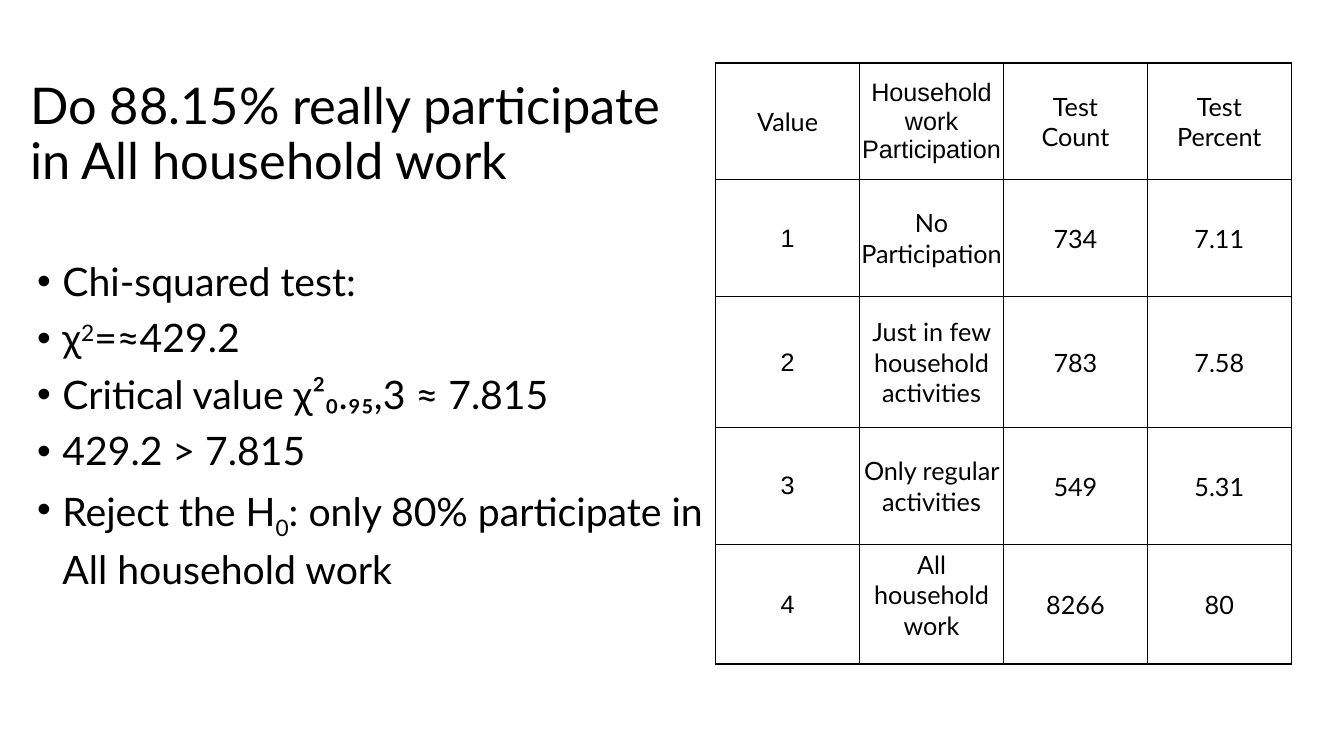
"""Build the chi-squared test slide on household work participation."""
from lxml import etree
from pptx import Presentation
from pptx.dml.color import RGBColor
from pptx.enum import text as t
from pptx.oxml import ns
from pptx.util import Pt

TITLE = "Do 88.15% really participate in All household work"
FINDINGS = [
    [("Chi-squared test:", 0)],
    [("χ", 0), ("2", 30), ("=≈429.2", 0)],
    [("Critical value χ²₀.₉₅,3 ≈ 7.815", 0)],
    [("429.2 > 7.815", 0)],
    [("Reject the H", 0), ("0", -25), (": only 80% participate in", 0)],
]
CONCLUSION = [("All household work", 0)]
RESULTS = [
    ("Value", "Household work Participation", "Test\nCount", "Test\nPercent"),
    ("1", "No Participation", "734", "7.11"),
    ("2", "Just in few household activities", "783", "7.58"),
    ("3", "Only regular activities", "549", "5.31"),
    ("4", "All household work", "8266", "80"),
]
ARIAL_CELLS = {(0, 1), (1, 0), (2, 0), (3, 0), (4, 0)}
ROW_HEIGHTS = [83.5, 83.5, 93.6, 83.5, 85.2]
COLUMN_WIDTH = 102.8
TITLE_BOX = (14.4, 44.6, 496, 104.4)
BODY_BOX = (19.4, 184, 874, 302)
TABLE_BOX = (511.2, 45, COLUMN_WIDTH * 4, sum(ROW_HEIGHTS))
BLACK = "000000"
INDENT = 18


def color(value):
    return RGBColor.from_string(value)


def assign(target, values):
    for key, value in values.items():
        setattr(target, key, value)


def place(holder, box, anchor):
    assign(holder, dict(zip(("left", "top", "width", "height"), map(Pt, box))))
    assign(holder.text_frame, {
        "word_wrap": True, "auto_size": t.MSO_AUTO_SIZE.NONE, "vertical_anchor": anchor,
        "margin_left": Pt(7.2), "margin_right": Pt(7.2),
        "margin_top": Pt(3.6), "margin_bottom": Pt(3.6)})


def write(paragraph, words, size, name="Lato", baseline=0):
    run = paragraph.add_run()
    run.text = words
    assign(run.font, {"size": Pt(size), "name": name, "bold": False})
    run.font.color.rgb = color(BLACK)
    if baseline:
        run.font._element.set("baseline", str(baseline * 1000))


def add_part(parent, tag, **attributes):
    return etree.SubElement(parent, ns.qn(tag), attributes)


def set_bullet(paragraph, bulleted):
    props = paragraph._p.get_or_add_pPr()
    props.set("marL", str(Pt(INDENT)))
    props.set("indent", str(-Pt(INDENT) if bulleted else 0))
    if bulleted:
        add_part(add_part(props, "a:buClr"), "a:srgbClr", val=BLACK)
        add_part(props, "a:buFont", typeface="Arial")
        add_part(props, "a:buChar", char="•")
    else:
        add_part(props, "a:buNone")


def draw_borders(cell):
    props = cell._tc.get_or_add_tcPr()
    for side in ("a:lnL", "a:lnR", "a:lnT", "a:lnB"):
        line = add_part(props, side, w=str(Pt(0.96)))
        add_part(add_part(line, "a:solidFill"), "a:srgbClr", val=BLACK)


def fill_cell(cell, words, name, bottom):
    assign(cell, {
        "vertical_anchor": t.MSO_ANCHOR.MIDDLE,
        "margin_left": Pt(0.7), "margin_right": Pt(0.7),
        "margin_top": Pt(3.6), "margin_bottom": Pt(bottom)})
    draw_borders(cell)
    cell.fill.background()
    frame = cell.text_frame
    for index, part in enumerate(words.split("\n")):
        paragraph = frame.add_paragraph() if index else frame.paragraphs[0]
        paragraph.alignment = t.PP_ALIGN.CENTER
        write(paragraph, part, 18, name)


def main():
    deck = Presentation()
    assign(deck, {"slide_width": Pt(960), "slide_height": Pt(540)})
    slide = deck.slides.add_slide(deck.slide_layouts[1])

    title = slide.shapes.title
    place(title, TITLE_BOX, t.MSO_ANCHOR.MIDDLE)
    heading = title.text_frame.paragraphs[0]
    assign(heading, {"alignment": t.PP_ALIGN.LEFT, "line_spacing": 0.9})
    write(heading, TITLE, 36.1)

    body = slide.placeholders[1]
    place(body, BODY_BOX, t.MSO_ANCHOR.TOP)
    for index, pieces in enumerate(FINDINGS + [CONCLUSION]):
        frame = body.text_frame
        finding = frame.add_paragraph() if index else frame.paragraphs[0]
        set_bullet(finding, pieces is not CONCLUSION)
        assign(finding, {"line_spacing": 0.9, "space_before": Pt(10 if index else 0)})
        for words, baseline in pieces:
            write(finding, words, 28, baseline=baseline)

    results = slide.shapes.add_table(
        len(RESULTS), len(RESULTS[0]), *map(Pt, TABLE_BOX)).table
    assign(results, {"first_row": False, "horz_banding": False})
    for column in results.columns:
        column.width = Pt(COLUMN_WIDTH)
    for r, (values, height) in enumerate(zip(RESULTS, ROW_HEIGHTS)):
        results.rows[r].height = Pt(height)
        for c, words in enumerate(values):
            name = "Arial" if (r, c) in ARIAL_CELLS else "Lato"
            bottom = 16.8 if (r, c) == (4, 1) else 3.6
            fill_cell(results.cell(r, c), words, name, bottom)

    deck.save("out.pptx")


if __name__ == "__main__":
    main()
